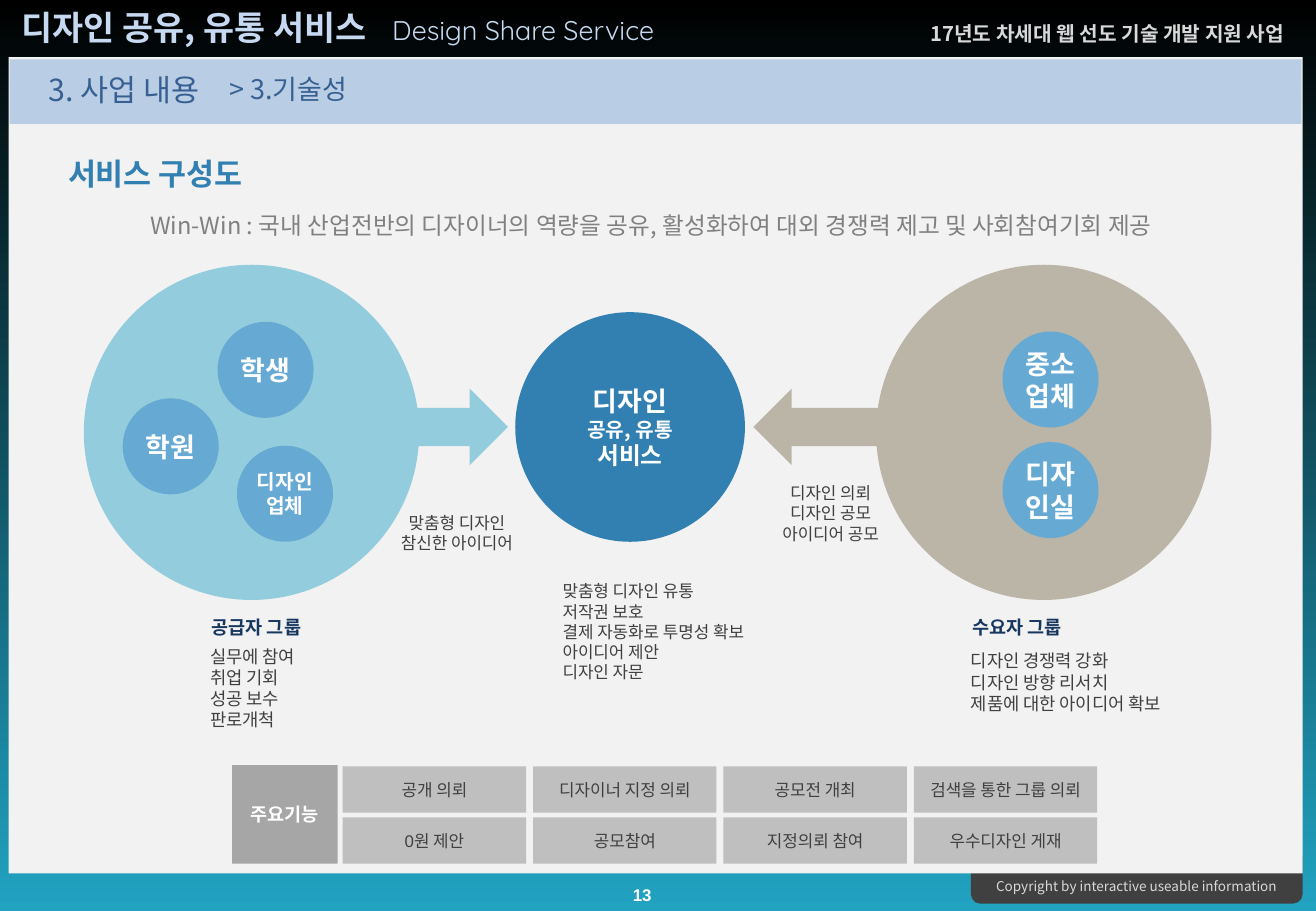
from pptx import Presentation
from pptx import util as u
from pptx.dml.color import RGBColor
from pptx.enum import shapes, text
from pptx.oxml.ns import qn
from lxml import etree

COLORS = {
    "black": "000000", "teal": "21A3C1", "panel": "F2F2F2", "bar": "B9CDE5",
    "footer": "404040", "pale": "D9D9D9", "ice": "C6D9F1", "path": "376092",
    "blue": "3180B1", "member": "66AAD4", "supply": "93CDDD", "demand": "BAB5A6",
    "caption": "17375E", "body": "404040", "subtitle": "808080",
    "cell": "BFBFBF", "head": "A6A6A6", "white": "FFFFFF",
}
KR = "Noto Sans CJK KR"
SHAPE = shapes.MSO_SHAPE
LEFT, CENTER, RIGHT = text.PP_ALIGN.LEFT, text.PP_ALIGN.CENTER, text.PP_ALIGN.RIGHT
TOP, MIDDLE = text.MSO_ANCHOR.TOP, text.MSO_ANCHOR.MIDDLE
MEMBER = 0.79  # diameter of a member circle

# Text styles: size, font, colour, bold
NOTE = (10, "Arial", "body", False)
BENEFIT = (10.5, "Arial", "body", False)
CAPTION = (11, "Arial", "caption", True)


def rgb(name):
    return RGBColor.from_string(COLORS[name])


def write(sp, lines, style, align=CENTER, anchor=MIDDLE, wrap=True, side=0.0):
    """Each line is a string, or a (string, size) pair to override the size."""
    size, font, color, bold = style
    tf = sp.text_frame
    frame = {"auto_size": text.MSO_AUTO_SIZE.NONE, "word_wrap": wrap,
             "vertical_anchor": anchor,
             "margin_left": u.Inches(side), "margin_right": u.Inches(side),
             "margin_top": u.Inches(0.05), "margin_bottom": u.Inches(0.05)}
    for name, value in frame.items():
        setattr(tf, name, value)
    for i, line in enumerate(lines):
        words, points = line if isinstance(line, tuple) else (line, size)
        p = tf.add_paragraph() if i else tf.paragraphs[0]
        p.alignment = align
        r = p.add_run()
        r.text = words
        for name, value in {"size": u.Pt(points), "name": font, "bold": bold}.items():
            setattr(r.font, name, value)
        r.font.color.rgb = rgb(color)
        ea = etree.SubElement(r.font._element, qn("a:ea"))
        ea.set("typeface", KR)


def add_box(s, box, fill, kind=SHAPE.RECTANGLE):
    sp = s.shapes.add_shape(kind, *map(u.Inches, box))
    sp.shadow.inherit = False
    sp.line.fill.background()
    if fill:
        sp.fill.solid()
        sp.fill.fore_color.rgb = rgb(fill)
    return sp


def add_text(s, box, lines, style, **layout):
    write(s.shapes.add_textbox(*map(u.Inches, box)), lines, style, **layout)


def add_line(s, box, words, style, align=LEFT):
    add_text(s, box, [words], style, align=align, anchor=TOP, side=0.1)


def draw_frame(s, width, height):
    # Backdrop running from black to teal, downwards
    backdrop = add_box(s, (0, 0, width, height), None)
    backdrop.fill.gradient()
    backdrop.fill.gradient_angle = 270
    for stop, (color, position) in zip(backdrop.fill.gradient_stops,
                                       [("black", 0), ("teal", 1)]):
        stop.color.rgb = rgb(color)
        stop.position = position
    # Footer tab and page number
    add_box(s, (width - 2.84, height - 0.53, 2.73, 0.47), "footer",
            SHAPE.ROUNDED_RECTANGLE)
    add_line(s, (width - 2.86, height - 0.32, 2.77, 0.24),
             "Copyright by interactive useable information", (8, KR, "pale", False), CENTER)
    add_box(s, (0.07, 0.47, 10.65, 6.72), "panel")
    add_line(s, (5.1, height - 0.27, 0.37, 0.27), "13", (10, "Arial", "white", True), CENTER)


def draw_header(s, box):
    x, y, w, h = box
    add_line(s, (x + 3.05, y + 0.06, 3.07, 0.37), "Design Share Service",
             (16, "Quicksand", "ice", False))
    add_line(s, (x, y + 0.01, 4.33, 0.44), "디자인 공유, 유통 서비스", (20, KR, "ice", True))
    add_line(s, (x + w - 3.46, y + 0.13, 3.42, 0.3),
             "17년도 차세대 웹 선도 기술 개발 지원 사업", (12, KR, "pale", True), RIGHT)
    # Breadcrumb bar
    add_box(s, (x, y + h - 0.53, w, 0.53), "bar")
    add_line(s, (x + 0.22, y + h - 0.48, 2.05, 0.4), "3. 사업 내용", (18, KR, "path", False))
    add_line(s, (x + 1.71, y + h - 0.47, 2.05, 0.37), "> 3.기술성", (16, KR, "path", False))


def draw_title(s, box):
    x, y, w, h = box
    title = s.shapes.title
    s.shapes.element.append(title.element)  # bring in front of the panel
    title.left, title.top, title.width, title.height = map(u.Inches, (x, y, w, 0.4))
    write(title, ["서비스 구성도"], (18, KR, "blue", True), LEFT, TOP, side=0.1)
    add_text(s, (x + 0.47, y + h - 0.47, 8.86, 0.47),
             ["Win-Win : 국내 산업전반의 디자이너의 역량을 공유, "
              "활성화하여 대외 경쟁력 제고 및 사회참여기회 제공"],
             (14, KR, "subtitle", False), wrap=False, side=0.1)


def draw_group(s, box, color, members, caption, benefits):
    """Members are (name, size, dx, dy); caption and benefits are (text, dx, dy)."""
    x, y, w, h = box
    add_box(s, box, color, SHAPE.OVAL)
    for name, size, dx, dy in members:
        circle = add_box(s, (x + dx, y + dy, MEMBER, MEMBER), "member", SHAPE.OVAL)
        write(circle, [name], (size, KR, "white", True))
    words, dx, dy = caption
    add_text(s, (x + dx, y + dy, 2.2, MEMBER), [words], CAPTION, wrap=False)
    lines, dx, dy = benefits
    add_text(s, (x + dx, y + dy, 1.5, 0.87), lines, BENEFIT, align=LEFT, wrap=False)


def draw_service(s, box):
    x, y, w, h = box
    # Arrows from both groups
    arrow_w, arrow_y = 1.18, y + 0.63
    add_box(s, (x - 0.06 - arrow_w, arrow_y, arrow_w, 0.63), "supply", SHAPE.RIGHT_ARROW)
    add_box(s, (x + w + 0.07, arrow_y, arrow_w, 0.63), "demand", SHAPE.LEFT_ARROW)
    # Service circle
    circle = add_box(s, box, "blue", SHAPE.OVAL)
    write(circle, [("디자인", 16), ("공유, 유통", 12), ("서비스", 14)], (16, KR, "white", True))
    # Notes under the arrows and the circle
    add_text(s, (x - 0.95, y + 1.42, 0.94, MEMBER), ["맞춤형 디자인", "참신한 아이디어"],
             NOTE, wrap=False)
    add_text(s, (x + 2.2, y + 1.26, MEMBER, MEMBER),
             ["디자인 의뢰", "디자인 공모", "아이디어 공모"], NOTE, wrap=False)
    add_text(s, (x + 0.39, y + 2.12, 1.57, 1.02),
             ["맞춤형 디자인 유통", "저작권 보호", "결제 자동화로 투명성 확보",
              "아이디어 제안", "디자인 자문"], NOTE, align=LEFT, wrap=False)


def draw_features(s, box):
    x, y, w, h = box
    head = add_box(s, (x, y, 0.87, h), "head")
    write(head, ["주요기능"], (11, "Arial", "white", True), wrap=False)
    rows = [["공개 의뢰", "디자이너 지정 의뢰", "공모전 개최", "검색을 통한 그룹 의뢰"],
            ["0원 제안", "공모참여", "지정의뢰 참여", "우수디자인 게재"]]
    cell_w, cell_h, left = 1.51, 0.38, x + 0.91
    step = (x + w - left - cell_w) / (len(rows[0]) - 1)
    for i, row in enumerate(rows):
        for j, name in enumerate(row):
            cell = add_box(s, (left + j * step, y + 0.01 + i * 0.42, cell_w, cell_h), "cell")
            write(cell, [name], NOTE, wrap=False)


def main():
    prs = Presentation()
    width, height = 10.83, 7.5
    prs.slide_width, prs.slide_height = u.Inches(width), u.Inches(height)
    s = prs.slides.add_slide(prs.slide_layouts[5])
    draw_frame(s, width, height)
    draw_header(s, (0.08, 0, 10.63, 1.02))
    draw_title(s, (0.46, 1.23, 10.08, 0.86))
    draw_group(s, (7.21, 2.18, 2.76, 2.76), "demand",
               [("중소업체", 16, 1.04, 0.55), ("디자인실", 16, 1.04, 1.46)],
               ("수요자 그룹", 0.06, 2.59),
               (["디자인 경쟁력 강화", "디자인 방향 리서치", "제품에 대한 아이디어 확보"],
                0.78, 3.0))
    draw_group(s, (0.69, 2.18, 2.76, 2.76), "supply",
               [("학생", 16, 1.1, 0.47), ("학원", 16, 0.32, 1.1),
                ("디자인업체", 12, 1.26, 1.49)],
               ("공급자 그룹", 0.32, 2.59),
               (["실무에 참여", "취업 기회", "성공 보수", "판로개척"], 1.04, 3.05))
    draw_service(s, (4.24, 2.57, 1.89, 1.89))
    draw_features(s, (1.91, 6.3, 7.12, 0.81))
    prs.save("out.pptx")


if __name__ == "__main__":
    main()
